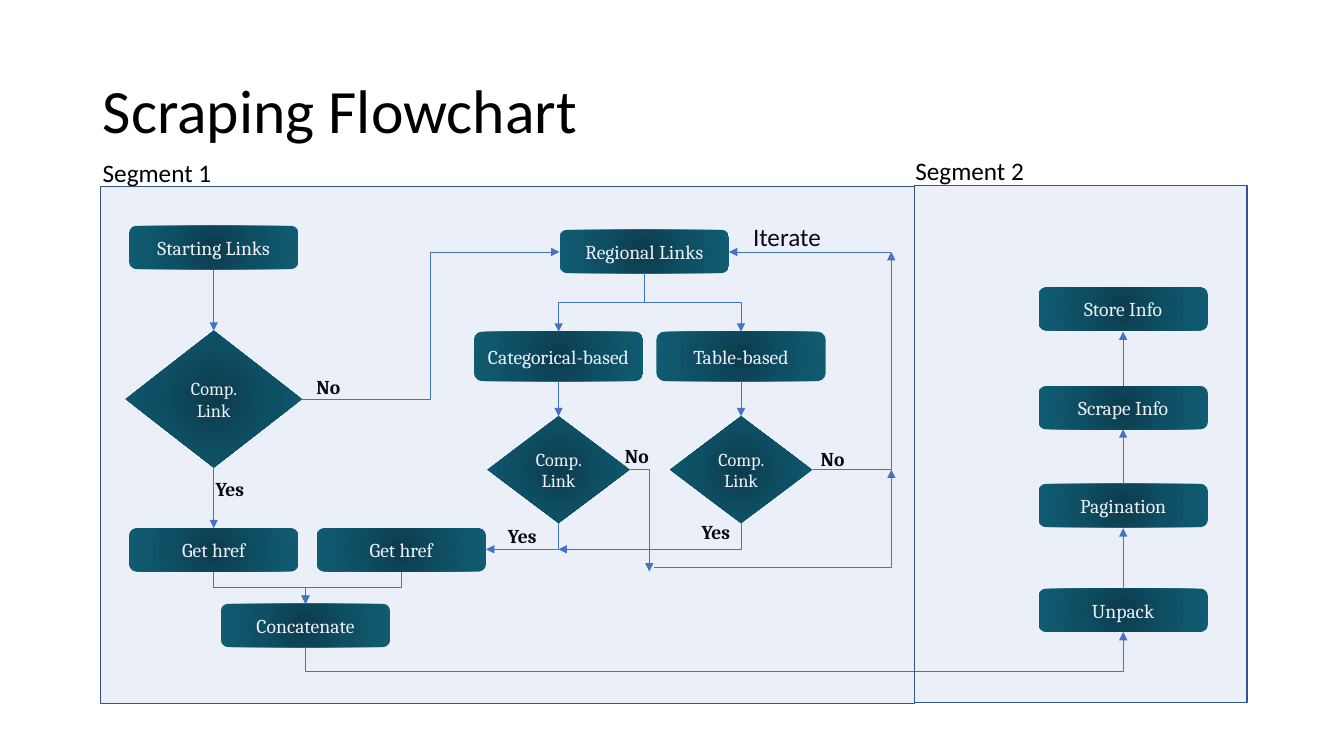
"""Builds the Scraping Flowchart slide on a grid of tenth-of-an-inch cells."""
from lxml.etree import SubElement
from pptx import Presentation
from pptx.dml.color import RGBColor
from pptx.enum.shapes import MSO_CONNECTOR, MSO_SHAPE
from pptx.enum.text import MSO_ANCHOR, MSO_AUTO_SIZE, PP_ALIGN
from pptx.oxml import parse_xml
from pptx.oxml.ns import nsdecls, qn
from pptx.util import Inches, Pt

CELL = Inches(0.1)
START, CONCAT, HREF, CATEGORY, REGION, TABLE, RETURN, SCRAPE = 21.2, 30.3, 39.8, 55.4, 63.9, 73.5, 88.4, 111.4
BOX_WIDTH, BOX_HEIGHT = 16.8, 4.3
GRADIENT = f"""<a:gradFill {nsdecls('a')} rotWithShape="1"><a:gsLst>
<a:gs pos="0"><a:srgbClr val="06353F"/></a:gs><a:gs pos="50000"><a:srgbClr val="084C5A"/></a:gs>
<a:gs pos="100000"><a:srgbClr val="0A5A6A"/></a:gs></a:gsLst>
<a:path path="circle"><a:fillToRect l="50000" t="50000" r="50000" b="50000"/></a:path></a:gradFill>"""


def color(value):
    return RGBColor.from_string(value)


def style(paragraph, size, name, value, bold=False):
    font = paragraph.font
    font.size, font.name, font.bold = Pt(size), name, bold
    font.color.rgb = color(value)


deck = Presentation()
deck.slide_width, deck.slide_height = Inches(13.33), Inches(7.5)
page = deck.slides.add_slide(deck.slide_layouts[5])
shapes = page.shapes

title = shapes.title
title.left, title.top, title.width, title.height = [round(n * CELL) for n in (9.2, 4, 115, 14.5)]
title.text_frame.text = "Scraping Flowchart"
title.text_frame.vertical_anchor = MSO_ANCHOR.MIDDLE
title.text_frame.auto_size = MSO_AUTO_SIZE.NONE
heading = title.text_frame.paragraphs[0]
heading.alignment, heading.line_spacing = PP_ALIGN.LEFT, 0.9
style(heading, 44, "Calibri", "000000")

BOX, DIAMOND = MSO_SHAPE.ROUNDED_RECTANGLE, MSO_SHAPE.DIAMOND
steps = [
    (BOX, "Starting Links", START, 24.55, BOX_WIDTH, BOX_HEIGHT),
    (DIAMOND, "Comp. Link", START, 39.6, 17.5, 13.6),
    (BOX, "Get href", START, 54.55, BOX_WIDTH, BOX_HEIGHT),
    (BOX, "Get href", HREF, 54.55, BOX_WIDTH, BOX_HEIGHT),
    (BOX, "Concatenate", CONCAT, 62.05, BOX_WIDTH, BOX_HEIGHT),
    (BOX, "Regional Links", REGION, 24.95, BOX_WIDTH, BOX_HEIGHT),
    (BOX, "Categorical-based", CATEGORY, 35.35, BOX_WIDTH, 4.9),
    (BOX, "Table-based", TABLE, 35.35, BOX_WIDTH, 4.9),
    (DIAMOND, "Comp. Link", CATEGORY, 46.6, 14.1, 10.6),
    (DIAMOND, "Comp. Link", TABLE, 46.6, 14.1, 10.6),
    (BOX, "Unpack", SCRAPE, 60.55, BOX_WIDTH, BOX_HEIGHT),
    (BOX, "Pagination", SCRAPE, 50.15, BOX_WIDTH, BOX_HEIGHT),
    (BOX, "Scrape Info", SCRAPE, 40.45, BOX_WIDTH, BOX_HEIGHT),
    (BOX, "Store Info", SCRAPE, 30.65, BOX_WIDTH, BOX_HEIGHT),
]
for kind, words, center, middle, width, height in steps:
    corner = center - width / 2, middle - height / 2
    box = shapes.add_shape(kind, *[round(n * CELL) for n in (*corner, width, height)])
    box.shadow.inherit = False
    box.line.fill.background()
    box.element.spPr.find(qn("a:prstGeom")).addnext(parse_xml(GRADIENT))
    box.text_frame.text = words
    box.text_frame.word_wrap = True
    box.text_frame.vertical_anchor = MSO_ANCHOR.MIDDLE
    para = box.text_frame.paragraphs[0]
    para.alignment = PP_ALIGN.CENTER
    style(para, 13 if kind == DIAMOND else 14, "Cambria", "FFFFFF")

STRAIGHT, CORNER, ELBOW = "line", "bentConnector2", "bentConnector3"
arrows = [
    (STRAIGHT, False, START, 26.8, START, 32.8, None),
    (STRAIGHT, False, START, 46.3, START, 52.4, None),
    (STRAIGHT, False, CATEGORY, 37.8, CATEGORY, 41.3, None),
    (STRAIGHT, False, TABLE, 37.8, TABLE, 41.3, None),
    (STRAIGHT, False, SCRAPE, 58.4, SCRAPE, 52.4, None),
    (STRAIGHT, False, SCRAPE, 48, SCRAPE, 42.6, None),
    (STRAIGHT, False, SCRAPE, 38.3, SCRAPE, 32.9, None),
    (STRAIGHT, False, RETURN, 25, 72.3, 25, None),
    (ELBOW, False, 29.9, 39.6, 55.5, 25, 0.5),
    (ELBOW, True, REGION, 27.1, CATEGORY, 32.9, 0.5),
    (ELBOW, True, REGION, 27.1, TABLE, 32.9, 0.5),
    (ELBOW, True, START, 56.7, CONCAT, 59.9, 0.5),
    (ELBOW, True, HREF, 56.7, CONCAT, 59.9, 0.5),
    (ELBOW, True, CONCAT, 64.2, SCRAPE, 62.7, -1.62),
    (ELBOW, False, 64.9, 56.3, RETURN, 46.6, 1),
    (CORNER, True, CATEGORY, 51.9, 48.2, 54.5, None),
    (CORNER, True, TABLE, 51.9, CATEGORY, 54.5, None),
    (CORNER, False, 62.4, 46.6, 64.4, 56.7, None),
    (CORNER, False, 80.6, 46.6, RETURN, 25, None),
]
for kind, downward, x1, y1, x2, y2, bend in arrows:
    ends = x1, y1, x2, y2
    if downward:
        center, middle, across, down = (x1 + x2) / 2, (y1 + y2) / 2, (x2 - x1) / 2, (y2 - y1) / 2
        ends = center - down, middle + across, center + down, middle - across
    route = MSO_CONNECTOR.STRAIGHT if kind == STRAIGHT else MSO_CONNECTOR.ELBOW
    arrow = shapes.add_connector(route, *[round(n * CELL) for n in ends])
    arrow.rotation = 90 if downward else 0
    arrow.line.color.rgb = color("4472C4")
    arrow.line.width = Pt(0.5)
    geometry = arrow.element.spPr.find(qn("a:prstGeom"))
    geometry.set("prst", kind)
    if bend is not None:
        guides = geometry.get_or_add_avLst()
        SubElement(guides, qn("a:gd"), name="adj1", fmla=f"val {round(bend * 100000)}")
    SubElement(arrow.line._get_or_add_ln(), qn("a:tailEnd"), type="triangle")
    SubElement(arrow.element.spPr, qn("a:effectLst"))

answer, caption = (14, "Cambria", "000000", True), (18, "Calibri", "000000")
labels = [
    ("Segment 1", 9.2, 15.1, 12.9, 4, caption),
    ("Segment 2", 89.8, 14.9, 12.9, 4, caption),
    ("Iterate", 73.7, 21.5, 8.8, 4, caption),
    ("Yes", 20.4, 46.8, 5, 3.4, answer),
    ("Yes", 49.4, 51.5, 5, 3.4, answer),
    ("Yes", 68.6, 51.1, 5, 3.4, answer),
    ("No", 30.4, 36.7, 4.5, 3.4, answer),
    ("No", 61, 43.5, 4.5, 3.4, answer),
    ("No", 80.4, 43.8, 4.5, 3.4, answer),
]
for words, *place, look in labels:
    label = shapes.add_textbox(*[round(n * CELL) for n in place])
    label.text_frame.text = words
    label.text_frame.word_wrap = False
    label.text_frame.auto_size = MSO_AUTO_SIZE.SHAPE_TO_FIT_TEXT
    style(label.text_frame.paragraphs[0], *look)

for place in [(90.7, 18.4, 33, 51.3), (10, 18.5, 80.7, 51.3)]:
    segment = shapes.add_shape(MSO_SHAPE.RECTANGLE, *[round(n * CELL) for n in place])
    segment.shadow.inherit = False
    segment.fill.solid()
    segment.fill.fore_color.rgb = color("4472C4")
    tint = segment.element.spPr.find(qn("a:solidFill")).find(qn("a:srgbClr"))
    SubElement(tint, qn("a:alpha"), val="10000")
    segment.line.color.rgb = color("325491")
    segment.line.width = Pt(1)

deck.save("out.pptx")
